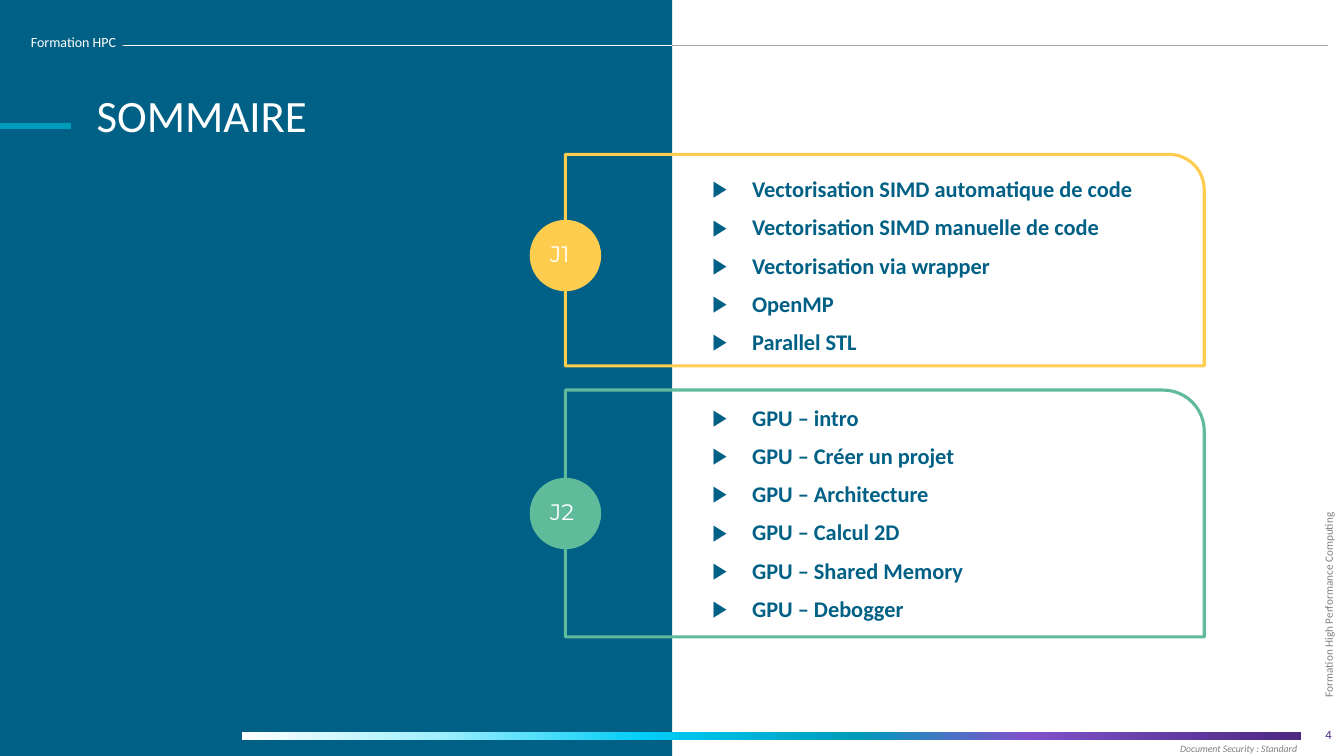
"""Build the agenda slide of a two-day high performance computing course."""
import dataclasses

import pptx
import pptx.dml.color
import pptx.enum.shapes
import pptx.enum.text
import pptx.oxml
import pptx.oxml.ns
import pptx.util
from lxml import etree

Cm = pptx.util.Cm
Pt = pptx.util.Pt
RGB = pptx.dml.color.RGBColor.from_string
qn = pptx.oxml.ns.qn
SHAPES = pptx.enum.shapes.MSO_SHAPE
ANCHOR = pptx.enum.text.MSO_ANCHOR
ALIGN = pptx.enum.text.PP_ALIGN


@dataclasses.dataclass(frozen=True)
class Theme:
    font: str = "Calibri"
    badge_font: str = "Montserrat"
    blue: str = "006085"
    teal: str = "009CBC"
    purple: str = "4B2882"
    grey: str = "808080"
    light_grey: str = "A6A6A6"
    white: str = "FFFFFF"
    yellow: str = "FECD50"
    green: str = "60BB9B"
    gradient: tuple = ((0, "FFFFFF"), (18, "A3F0FF"), (38, "00CDF6"),
                       (58, "009BBC"), (74, "8052CA"), (100, "4B2882"))
    title_size: int = 32
    body_size: int = 16
    header_size: int = 10
    page_size: int = 9
    side_size: int = 8
    notice_size: int = 7


theme = Theme()


def add_run(paragraph, text, size, color, font=theme.font):
    run = paragraph.add_run()
    run.text = text
    run.font.name = font
    run.font.size = Pt(size)
    run.font.color.rgb = RGB(color)
    return run


def place(shape, left, top, width, height):
    shape.left, shape.top = Cm(left), Cm(top)
    shape.width, shape.height = Cm(width), Cm(height)


presentation = pptx.Presentation()
presentation.slide_width = Cm(33.87)
presentation.slide_height = Cm(19.05)
slide = presentation.slides.add_slide(presentation.slide_layouts[1])
shapes = slide.shapes
title, topics = slide.placeholders

panel = shapes.add_shape(SHAPES.RECTANGLE, 0, 0, Cm(16.94), Cm(19.05))
panel.shadow.inherit = False
panel.fill.solid()
panel.fill.fore_color.rgb = RGB(theme.blue)
panel.line.fill.background()

band = shapes.add_shape(SHAPES.RECTANGLE, Cm(6.1), Cm(18.45), Cm(26.7), Cm(0.2))
band.shadow.inherit = False
band.line.fill.background()
band.fill.gradient()
band.fill.gradient_angle = 0
stops = next(band._element.iter(qn("a:gsLst")))
for stop in list(stops):
    stops.remove(stop)
for percent, color in theme.gradient:
    stop = etree.SubElement(stops, qn("a:gs"), pos=str(percent * 1000))
    etree.SubElement(stop, qn("a:srgbClr"), val=color)

rules = (
    (0, 1.8, 3.18, theme.teal, 4.5),
    (3.07, 33.48, 1.14, theme.light_grey, 0.5),
    (3.12, 16.94, 1.14, theme.white, 0.5),
)
for start, end, y, color, weight in rules:
    rule = shapes.add_connector(pptx.enum.shapes.MSO_CONNECTOR.STRAIGHT,
                                Cm(start), Cm(y), Cm(end), Cm(y))
    rule.line.color.rgb = RGB(color)
    rule.line.width = Pt(weight)
    etree.SubElement(rule._element.spPr, qn("a:effectLst"))

labels = (
    ("Formation HPC", (0.53, 0.71, 4.85, 0.69),
     theme.header_size, theme.white, ALIGN.LEFT, 0, 0.13),
    ("Formation High Performance Computing", (30.23, 14.15, 6.43, 0.91),
     theme.side_size, theme.grey, ALIGN.LEFT, 270, 0.25),
    ("4", (26.19, 18.01, 7.62, 1.02),
     theme.page_size, theme.purple, ALIGN.RIGHT, 0, 0.13),
    ("Document Security : Standard", (29.64, 18.62, 3.5, 0.51),
     theme.notice_size, theme.grey, ALIGN.LEFT, 0, 0.1),
)
for text, bounds, size, color, alignment, rotation, margin in labels:
    label = shapes.add_textbox(0, 0, 0, 0)
    place(label, *bounds)
    label.rotation = rotation
    frame = label.text_frame
    frame.word_wrap = True
    frame.vertical_anchor = ANCHOR.MIDDLE
    frame.margin_top = frame.margin_bottom = Cm(margin)
    if size == theme.notice_size:
        frame.margin_left = frame.margin_right = Cm(margin)
    paragraph = frame.paragraphs[0]
    paragraph.alignment = alignment
    run = add_run(paragraph, text, size, color)
    run.font.italic = size == theme.notice_size
    if rotation:
        paragraph.line_spacing = 1.2

for placeholder in (title, topics):
    shapes._spTree.append(placeholder._element)
    placeholder.text_frame.auto_size = pptx.enum.text.MSO_AUTO_SIZE.NONE

place(title, 2.18, 2.29, 14.17, 1.35)
title.text_frame.vertical_anchor = ANCHOR.MIDDLE
paragraph = title.text_frame.paragraphs[0]
paragraph.alignment = ALIGN.LEFT
paragraph.line_spacing = 0.9
add_run(paragraph, "SOMMAIRE", theme.title_size, theme.white)

days = (
    ("J1", theme.yellow, 3.89, 5.33, 5.54,
     ("Vectorisation SIMD automatique de code",
      "Vectorisation SIMD manuelle de code",
      "Vectorisation via wrapper", "OpenMP", "Parallel STL")),
    ("J2", theme.green, 9.83, 6.22, 12.04,
     ("GPU – intro", "GPU – Créer un projet", "GPU – Architecture",
      "GPU – Calcul 2D", "GPU – Shared Memory", "GPU – Debogger")),
)
place(topics, 17.7, 4.37, 14.35, 14)
topics.text_frame.vertical_anchor = ANCHOR.TOP
paragraph = topics.text_frame.paragraphs[0]
for day, color, top, height, badge_top, entries in days:
    for entry in entries:
        if paragraph.runs:
            paragraph = topics.text_frame.add_paragraph()
        starts_second_day = day == "J2" and entry == entries[0]
        paragraph.line_spacing = 0.9
        paragraph.space_before = Pt(37 if starts_second_day else 10)
        properties = paragraph._p.get_or_add_pPr()
        properties.set("marL", str(Cm(1)))
        properties.set("indent", str(-Cm(1)))
        bullet_color = etree.SubElement(properties, qn("a:buClr"))
        etree.SubElement(bullet_color, qn("a:srgbClr"), val=theme.blue)
        etree.SubElement(properties, qn("a:buChar"), char="▶")
        add_run(paragraph, entry, theme.body_size, theme.blue).font.bold = True

    outline = shapes.add_shape(SHAPES.ROUND_1_RECTANGLE, Cm(14.25), Cm(top),
                               Cm(16.1), Cm(height))
    outline.shadow.inherit = False
    outline.fill.background()
    outline.line.color.rgb = RGB(color)
    outline.line.width = Pt(2.25)

    badge = shapes.add_shape(SHAPES.FLOWCHART_CONNECTOR, Cm(13.35),
                             Cm(badge_top), Cm(1.8), Cm(1.8))
    badge.shadow.inherit = False
    badge.fill.solid()
    badge.fill.fore_color.rgb = RGB(color)
    badge.line.fill.background()
    badge.text_frame.vertical_anchor = ANCHOR.MIDDLE
    badge_paragraph = badge.text_frame.paragraphs[0]
    badge_paragraph.alignment = ALIGN.LEFT
    badge_paragraph.line_spacing = 0.9
    add_run(badge_paragraph, day, theme.body_size, theme.white, theme.badge_font)

presentation.save("out.pptx")
